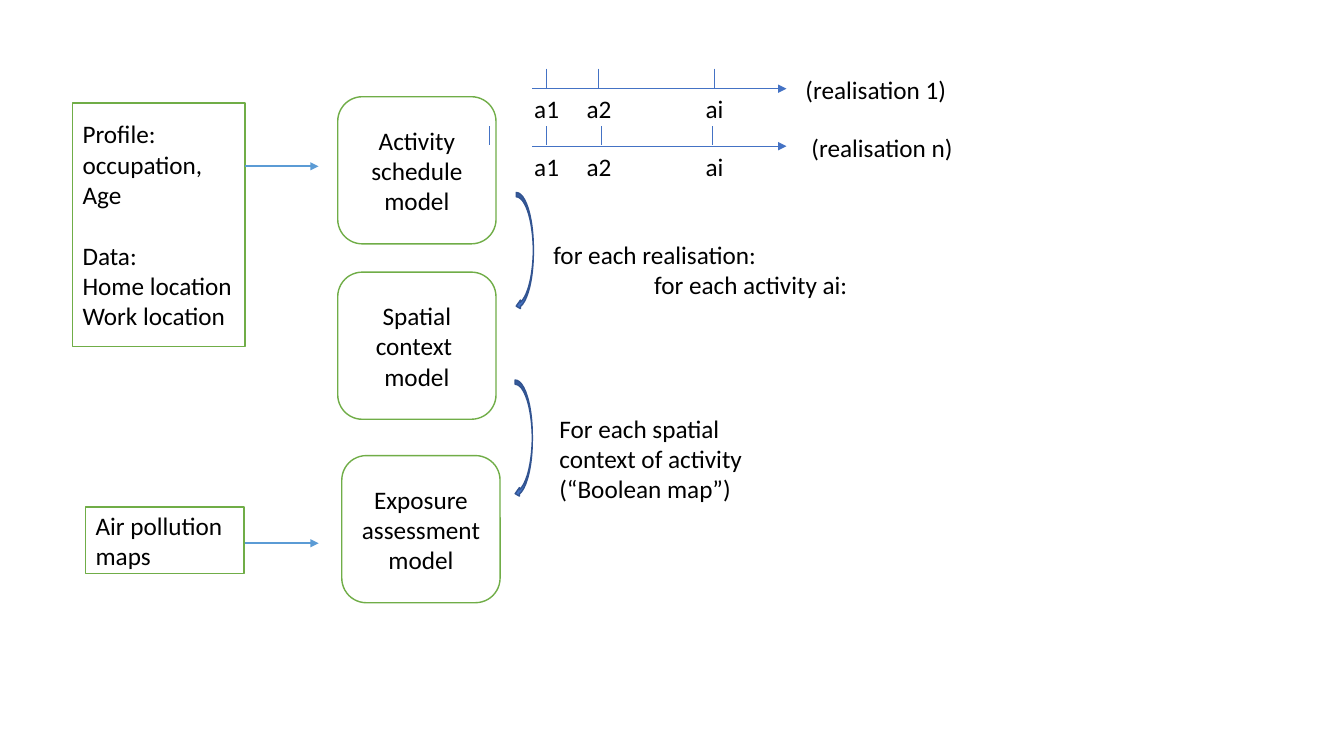
from dataclasses import dataclass

from pptx import Presentation
from pptx.dml.color import RGBColor
from pptx.enum.shapes import MSO_CONNECTOR, MSO_SHAPE
from pptx.enum.text import MSO_ANCHOR, PP_ALIGN
from pptx.oxml.ns import qn
from pptx.util import Inches, Pt
from lxml import etree

RECT, ROUND = MSO_SHAPE.RECTANGLE, MSO_SHAPE.ROUNDED_RECTANGLE
CURVED = MSO_SHAPE.CURVED_LEFT_ARROW
STRAIGHT = MSO_CONNECTOR.STRAIGHT
LEFT, CENTER = PP_ALIGN.LEFT, PP_ALIGN.CENTER
TOP, MIDDLE = MSO_ANCHOR.TOP, MSO_ANCHOR.MIDDLE

BLACK = RGBColor(0x00, 0x00, 0x00)
WHITE = RGBColor(0xFF, 0xFF, 0xFF)
GREEN = RGBColor(0x70, 0xAD, 0x47)
LIGHT_BLUE = RGBColor(0x5B, 0x9B, 0xD5)
BLUE = RGBColor(0x44, 0x72, 0xC4)
DARK_BLUE = RGBColor(0x32, 0x54, 0x91)

FONT = {"name": "Calibri", "size": Pt(18)}
LINE_GAP = Pt(22)


@dataclass
class Box:
    """A green-edged box with its text lines."""
    x: float
    y: float
    w: float
    h: float
    lines: list[str]
    kind: int = RECT
    align: int = LEFT


@dataclass
class Timeline:
    """One realisation: an axis, its activity labels and its ticks."""
    y: float
    ticks: list[float]
    caption: str
    caption_x: float


INPUTS = [
    Box(0.72, 1.02, 1.71, 2.42, ["Profile:", "occupation,", "Age", "Data:",
                                 "Home location", "Work location"]),
    Box(0.85, 5.03, 1.57, 0.66, ["Air pollution maps"]),
]
MODELS = [
    Box(x, y, 1.57, 1.46, lines, ROUND, CENTER) for x, y, lines in (
        (3.35, 0.96, ["Activity schedule model"]),
        (3.35, 2.7, ["Spatial context ", "model"]),
        (3.39, 4.52, ["Exposure assessment model"]),
    )
]
TIMELINES = [
    Timeline(0.88, [5.42, 5.93, 7.09], "(realisation 1)", 7.89),
    Timeline(1.45, [4.85, 5.42, 5.96, 7.07], "(realisation n)", 7.95),
]
ACTIVITIES = {"a1": 5.2, "a2": 5.72, "ai": 6.9}


def write(shape, lines: list[str], align: int = LEFT, anchor: int = TOP,
          wrap: bool = True) -> list:
    """Fill a shape with one paragraph per line and return the paragraphs."""
    tf = shape.text_frame
    tf.text = "\n".join(lines)
    tf.word_wrap, tf.vertical_anchor = wrap, anchor
    for p in tf.paragraphs:
        p.alignment = align
        for r in p.runs:
            for name, value in FONT.items():
                setattr(r.font, name, value)
            r.font.color.rgb = BLACK
    return list(tf.paragraphs)


def add_shape(kind: int, x: float, y: float, w: float, h: float,
              fill: RGBColor, edge: RGBColor):
    """Draw a flat preset shape with a one-point edge."""
    s = slide.shapes.add_shape(kind, Inches(x), Inches(y), Inches(w), Inches(h))
    s.shadow.inherit = False
    s.fill.solid()
    s.fill.fore_color.rgb = fill
    s.line.color.rgb = edge
    s.line.width = Pt(1)
    return s


def add_box(box: Box) -> list:
    """Draw a green-edged box and return its paragraphs."""
    s = add_shape(box.kind, box.x, box.y, box.w, box.h, WHITE, GREEN)
    return write(s, box.lines, box.align, MIDDLE)


def add_text(x: float, y: float, w: float, h: float, lines: list[str],
             wrap: bool = True) -> list:
    """Add a text box and return its paragraphs."""
    s = slide.shapes.add_textbox(Inches(x), Inches(y), Inches(w), Inches(h))
    return write(s, lines, wrap=wrap)


def add_line(x1: float, y1: float, x2: float, y2: float, color: RGBColor,
             width: float, arrow: bool = False) -> None:
    """Draw a straight line, with an arrowhead at its end if asked."""
    c = slide.shapes.add_connector(STRAIGHT, Inches(x1), Inches(y1),
                                   Inches(x2), Inches(y2))
    c.line.color.rgb = color
    c.line.width = Pt(width)
    if arrow:
        etree.SubElement(c.line._get_or_add_ln(), qn("a:tailEnd"), type="triangle")
    etree.SubElement(c._element.spPr, qn("a:effectLst"))


def add_timeline(t: Timeline) -> None:
    """Draw one realisation axis with labels, ticks and caption."""
    for label, x in ACTIVITIES.items():
        add_text(x, t.y, 0.56, 0.4, [label])
    add_line(5.28, t.y, 7.8, t.y, BLUE, 0.5, arrow=True)
    for x in t.ticks:
        add_line(x, t.y - 0.2, x, t.y - 0.01, BLUE, 0.5)
    add_text(t.caption_x, t.y - 0.19, 1.61, 0.4, [t.caption], wrap=False)


prs = Presentation()
prs.slide_width, prs.slide_height = Inches(13.33), Inches(7.5)
slide = prs.slides.add_slide(prs.slide_layouts[6])

profile, _ = [add_box(box) for box in INPUTS]
profile[3].space_before = LINE_GAP
for model in MODELS:
    add_box(model)
for y in (1.65, 5.39):
    add_line(2.43, y, 3.16, y, LIGHT_BLUE, 1.5, arrow=True)

for x, y in ((5.12, 1.91), (5.11, 3.77)):
    add_shape(CURVED, x, y, 0.17, 1.17, BLUE, DARK_BLUE)
loop = add_text(5.39, 2.32, 3.33, 1.01,
                ["for each realisation: ", "for each activity ai:"])
loop[1]._p.get_or_add_pPr().set("marL", str(Inches(1)))
add_text(5.45, 4.05, 2.24, 1.31,
         ["For each spatial context of activity", "(“Boolean map”)"])

for timeline in TIMELINES:
    add_timeline(timeline)

prs.save("out.pptx")
